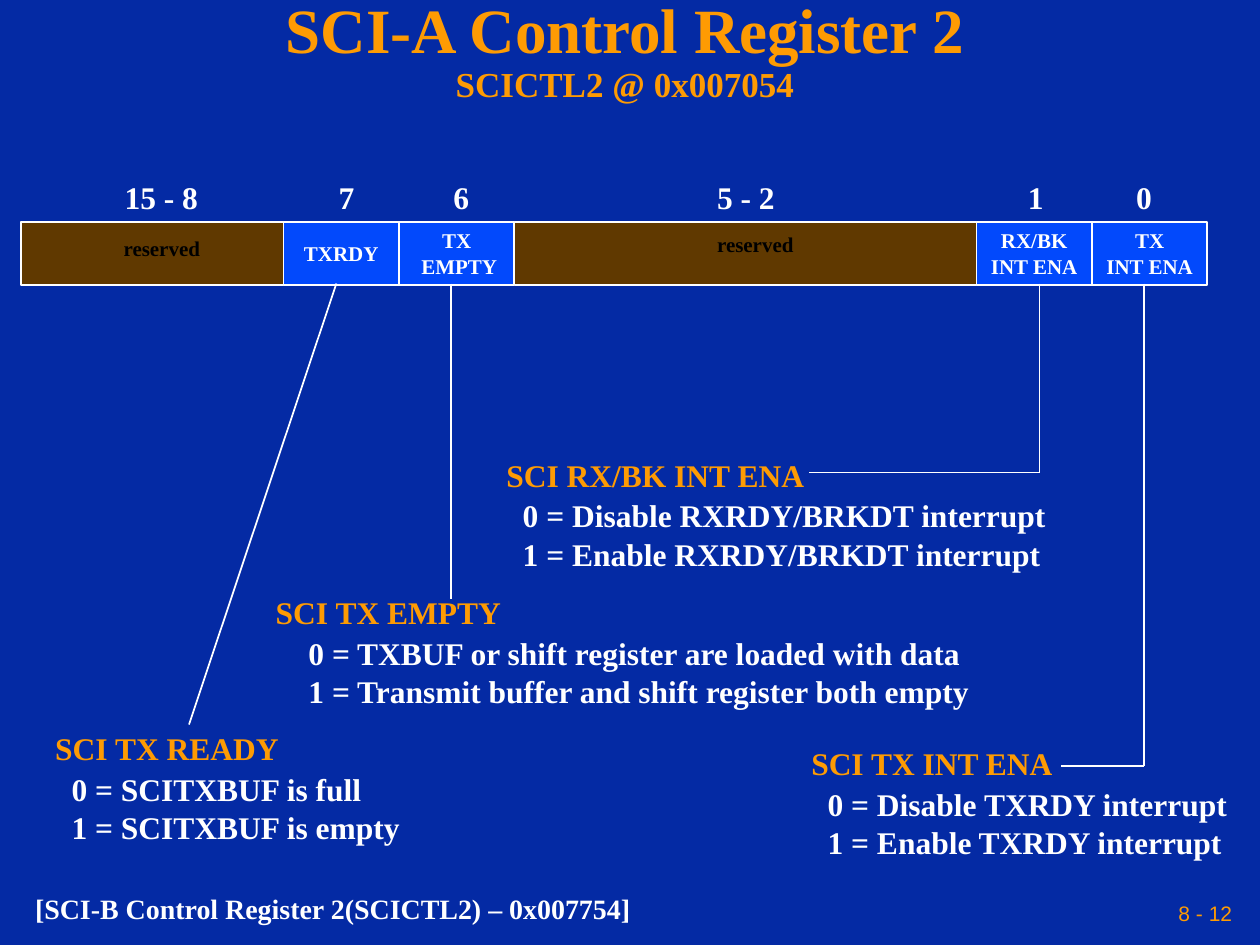
from dataclasses import dataclass

from lxml.etree import SubElement
from pptx import Presentation
from pptx.dml.color import RGBColor
from pptx.enum.shapes import MSO_CONNECTOR, MSO_SHAPE
from pptx.enum.text import MSO_ANCHOR as Anchor, MSO_AUTO_SIZE, PP_ALIGN as Align
from pptx.oxml.ns import qn
from pptx.util import Inches, Pt


@dataclass(frozen=True)
class Theme:
    background: str = "042AA4"
    accent: str = "FE9B03"
    text: str = "FFFFFF"
    dim: str = "000000"
    reserved: str = "603900"
    active: str = "0249FC"
    serif: str = "Times New Roman"
    sans: str = "Arial"
    title: int = 36
    subtitle: int = 20
    label: int = 18
    footnote: int = 16
    small: int = 12


@dataclass(frozen=True)
class Field:
    bits: str
    units: int              # width in twelfths of an inch
    bits_center: float
    lines: tuple = ()       # empty for a reserved field
    reserved_at: tuple = ()


@dataclass(frozen=True)
class Note:
    left: float
    top: float
    width: float
    heading: str
    values: tuple
    indent: float = 0.13


THEME = Theme()
UNIT = 1 / 12
ROW_LEFT, ROW_TOP, ROW_HEIGHT = 2 * UNIT, 1.76, 0.5

FIELDS = (
    Field("15 - 8", 25, 1.28, reserved_at=(0.88, 1.86)),
    Field("7", 11, 2.75, ("TXRDY",)),
    Field("6", 11, 3.66, ("TX", " EMPTY")),
    Field("5 - 2", 44, 5.92, reserved_at=(5.59, 1.83)),
    Field("1", 11, 8.22, ("RX/BK", "INT ENA")),
    Field("0", 11, 9.08, ("TX", "INT ENA")),
)

NOTES = (
    Note(0.34, 5.79, 2.94, "SCI TX READY",
         ("0 = SCITXBUF is full", "1 = SCITXBUF is empty")),
    Note(2.09, 4.71, 5.74, "SCI TX EMPTY",
         ("0 = TXBUF or shift register are loaded with data",
          "1 = Transmit buffer and shift register both empty"), 0.26),
    Note(6.34, 5.91, 3.51, "SCI TX INT ENA",
         ("0 = Disable TXRDY interrupt", "1 = Enable TXRDY interrupt")),
    Note(3.92, 3.62, 4.48, "SCI RX/BK INT ENA",
         ("0 = Disable RXRDY/BRKDT interrupt", "1 = Enable RXRDY/BRKDT interrupt")),
)

# Each leader runs from a register field to its note
LEADERS = (
    ((9.08, 2.25), (9.08, 6.08), (8.42, 6.08)),
    ((8.25, 2.25), (8.25, 3.75), (6.42, 3.75)),
    ((3.58, 2.25), (3.58, 4.75)),
    ((2.67, 2.25), (1.5, 5.75)),
)


def rgb(color: str) -> RGBColor:
    return RGBColor.from_string(color)


def write(paragraph, text: str, *, size: int, color: str = THEME.text,
          font: str = THEME.serif, bold: bool = True, align=Align.LEFT,
          spacing: float = 1.0, before: float = 0, indent: float = 0) -> None:
    paragraph.alignment = align
    paragraph.line_spacing = spacing
    paragraph.space_before = Pt(before)
    if indent:
        paragraph._p.get_or_add_pPr().set("marL", str(Inches(indent)))
    run = paragraph.add_run()
    run.text = text
    run.font.name, run.font.size, run.font.bold = font, Pt(size), bold
    run.font.color.rgb = rgb(color)


def set_frame(frame, anchor, side: float = 0.1, wrap: bool = False) -> None:
    frame.auto_size = MSO_AUTO_SIZE.NONE
    frame.word_wrap = wrap
    frame.vertical_anchor = anchor
    frame.margin_left = frame.margin_right = Inches(side)
    frame.margin_top = frame.margin_bottom = Inches(0.05)


def add_box(slide, left: float, top: float, width: float, height: float,
            anchor=Anchor.TOP, side: float = 0.1):
    frame = slide.shapes.add_textbox(
        Inches(left), Inches(top), Inches(width), Inches(height)).text_frame
    set_frame(frame, anchor, side)
    return frame


def add_title(slide) -> None:
    title = slide.shapes.title
    title.left, title.top = Inches(0), Inches(0)
    title.width, title.height = Inches(9.92), Inches(0.83)
    set_frame(title.text_frame, Anchor.MIDDLE, 0.05, wrap=True)
    heading = title.text_frame.paragraphs[0]
    style = dict(color=THEME.accent, align=Align.CENTER, spacing=0.9)
    write(heading, "SCI-A Control Register 2", size=THEME.title, **style)
    heading.add_line_break()
    write(heading, "SCICTL2 @ 0x007054", size=THEME.subtitle, **style)


def add_field(slide, field: Field, left: float) -> None:
    cell = slide.shapes.add_shape(
        MSO_SHAPE.RECTANGLE, Inches(left), Inches(ROW_TOP),
        Inches(field.units * UNIT), Inches(ROW_HEIGHT))
    cell.shadow.inherit = False
    cell.fill.solid()
    cell.fill.fore_color.rgb = rgb(THEME.active if field.lines else THEME.reserved)
    cell.line.color.rgb = rgb(THEME.text)
    cell.line.width = Pt(1)
    set_frame(cell.text_frame, Anchor.MIDDLE)
    for i, line in enumerate(field.lines):
        name = cell.text_frame.add_paragraph() if i else cell.text_frame.paragraphs[0]
        write(name, line, size=THEME.small, align=Align.CENTER)
    if field.reserved_at:
        reserved = add_box(slide, *field.reserved_at, 0.81, 0.26, Anchor.MIDDLE)
        write(reserved.paragraphs[0], "reserved", size=THEME.small,
              color=THEME.dim, align=Align.CENTER, spacing=0.8)

    # Bit numbers above the field
    width = 0.78
    bits = add_box(slide, field.bits_center - width / 2, 1.42, width, 0.34)
    write(bits.paragraphs[0], field.bits, size=THEME.label,
          align=Align.CENTER, spacing=0.8)


def add_note(slide, note: Note) -> None:
    frame = add_box(slide, note.left, note.top, note.width, 0.96, Anchor.MIDDLE)
    write(frame.paragraphs[0], note.heading, size=THEME.label,
          color=THEME.accent, spacing=0.8)
    for value in note.values:
        write(frame.add_paragraph(), value, size=THEME.label,
              spacing=0.5, before=11.2, indent=note.indent)


def add_leader(slide, points: tuple) -> None:
    for start, end in zip(points, points[1:]):
        leader = slide.shapes.add_connector(
            MSO_CONNECTOR.STRAIGHT, *(Inches(v) for v in (*start, *end)))
        leader.line.color.rgb = rgb(THEME.text)
        leader.line.width = Pt(1)
        SubElement(leader._element.spPr, qn("a:effectLst"))


def main() -> None:
    deck = Presentation()
    deck.slide_width, deck.slide_height = Inches(10), Inches(7.5)
    slide = deck.slides.add_slide(deck.slide_layouts[5])
    slide.background.fill.solid()
    slide.background.fill.fore_color.rgb = rgb(THEME.background)
    add_title(slide)

    # Register row
    left = ROW_LEFT
    for field in FIELDS:
        add_field(slide, field, left)
        left += field.units * UNIT

    # Notes and their leaders
    for note in NOTES:
        add_note(slide, note)
    for points in LEADERS:
        add_leader(slide, points)

    # Footer
    footnote = add_box(slide, 0.18, 7.08, 4.93, 0.32)
    write(footnote.paragraphs[0], "[SCI-B Control Register 2(SCICTL2) – 0x007754]",
          size=THEME.footnote, spacing=0.8)
    page = add_box(slide, 6.83, 7.08, 3, 0.33, Anchor.MIDDLE, 0.05)
    write(page.paragraphs[0], "8 - 12", size=THEME.small, color=THEME.accent,
          font=THEME.sans, bold=False, align=Align.RIGHT)

    deck.save("out.pptx")


if __name__ == "__main__":
    main()
